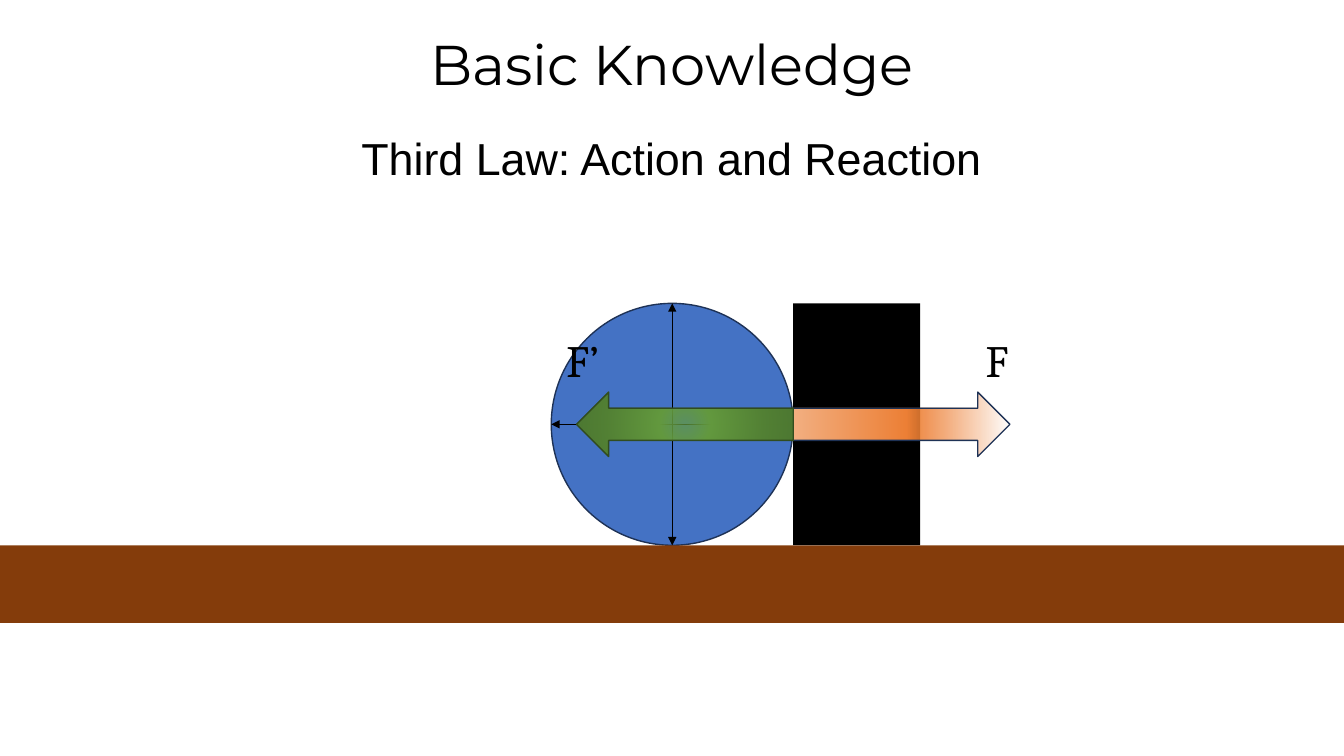
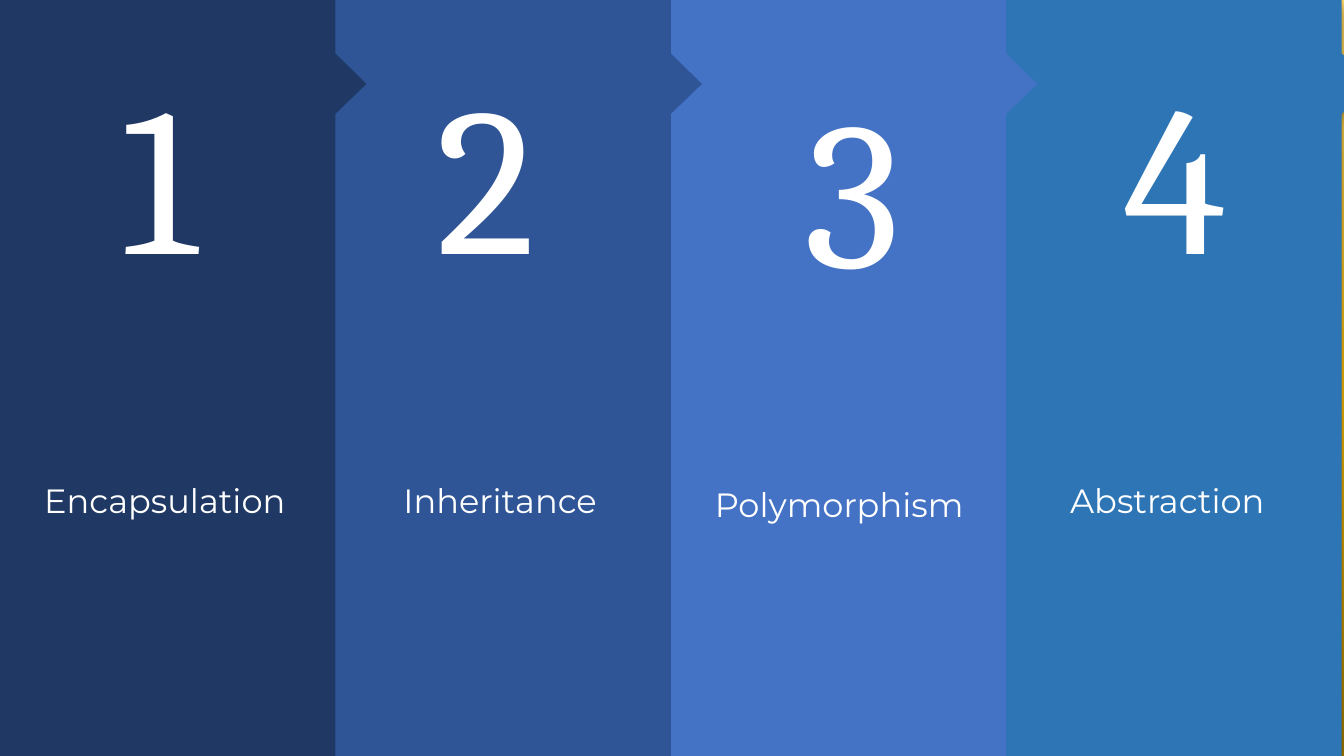
from lxml import etree
from pptx import Presentation
from pptx.dml.color import RGBColor
from pptx.enum.shapes import MSO_CONNECTOR, MSO_SHAPE
from pptx.enum.text import MSO_AUTO_SIZE, PP_ALIGN
from pptx.oxml.ns import qn
from pptx.util import Pt

LEFT, CENTER = PP_ALIGN.LEFT, PP_ALIGN.CENTER
GROW = MSO_AUTO_SIZE.SHAPE_TO_FIT_TEXT
STRAIGHT = MSO_CONNECTOR.STRAIGHT
OVAL, RECTANGLE = MSO_SHAPE.OVAL, MSO_SHAPE.RECTANGLE
LEFT_ARROW, RIGHT_ARROW = MSO_SHAPE.LEFT_ARROW, MSO_SHAPE.RIGHT_ARROW

BLACK = RGBColor(0x00, 0x00, 0x00)
WHITE = RGBColor(0xFF, 0xFF, 0xFF)
BLUE = RGBColor(0x44, 0x72, 0xC4)
NAVY = RGBColor(0x20, 0x38, 0x64)
DEEP_BLUE = RGBColor(0x2F, 0x55, 0x97)
SKY_BLUE = RGBColor(0x2E, 0x75, 0xB6)
BLUE_EDGE = RGBColor(0x1E, 0x32, 0x56)
GREEN_EDGE = RGBColor(0x31, 0x4C, 0x1F)
BROWN = RGBColor(0x84, 0x3C, 0x0B)

HEADING, BODY, SERIF = "Montserrat", "Arial", "Cambria"


def add_text(slide, text, box, size, font, color, align=CENTER):
    frame = slide.shapes.add_textbox(*map(Pt, box)).text_frame
    frame.word_wrap = True
    frame.auto_size = GROW
    paragraph = frame.paragraphs[0]
    paragraph.alignment = align
    run = paragraph.add_run()
    run.text = text
    run.font.size, run.font.name = Pt(size), font
    run.font.color.rgb = color


def set_gradient(fill, element, stops, angle=None):
    """Fill with (position %, colour, opacity %) stops; radial without an angle."""
    fill.solid()
    solid = next(element.iter(qn("a:solidFill")))
    gradient = etree.Element(qn("a:gradFill"), rotWithShape="1")
    stop_list = etree.SubElement(gradient, qn("a:gsLst"))
    for position, color, opacity in stops:
        stop = etree.SubElement(stop_list, qn("a:gs"), pos=str(position * 1000))
        tone = etree.SubElement(stop, qn("a:srgbClr"), val=color)
        if opacity < 100:
            etree.SubElement(tone, qn("a:alpha"), val=str(opacity * 1000))
    if angle is None:
        radial = etree.SubElement(gradient, qn("a:path"), path="circle")
        etree.SubElement(radial, qn("a:fillToRect"),
                         {side: "50000" for side in "ltrb"})
    else:
        etree.SubElement(gradient, qn("a:lin"), ang=str(angle * 60000), scaled="0")
    solid.getparent().replace(solid, gradient)


prs = Presentation()
prs.slide_width, prs.slide_height = Pt(960), Pt(540)
blank = prs.slide_layouts[6]

# Slide 1: action and reaction
law = prs.slides.add_slide(blank)
law.background.fill.solid()
law.background.fill.fore_color.rgb = WHITE
add_text(law, "Basic Knowledge", (271, 17.3, 417.6, 55.4), 40, HEADING, BLACK)

ball_left, ball_top, ball_size = 393.8, 216.7, 172.8
contact, ground_top = ball_left + ball_size, ball_top + ball_size
middle_x, middle_y = ball_left + ball_size / 2, ball_top + ball_size / 2

ball = law.shapes.add_shape(OVAL, Pt(ball_left), Pt(ball_top),
                            Pt(ball_size), Pt(ball_size))
ball.shadow.inherit = False
ball.fill.solid()
ball.fill.fore_color.rgb = BLUE
ball.line.color.rgb, ball.line.width = BLUE_EDGE, Pt(1)

for ends in ((middle_x, ground_top, middle_x, ball_top),
             (ball_left, middle_y, contact, middle_y)):
    diameter = law.shapes.add_connector(STRAIGHT, *map(Pt, ends))
    diameter.line.color.rgb, diameter.line.width = BLACK, Pt(0.5)
    outline = diameter.line._get_or_add_ln()
    for end in ("a:headEnd", "a:tailEnd"):
        etree.SubElement(outline, qn(end), type="triangle")
    etree.SubElement(diameter.element.spPr, qn("a:effectLst"))

for box, color in (((0, ground_top, 960, 55.4), BROWN),
                   ((contact, ball_top, 90.7, ball_size), BLACK)):
    solid_body = law.shapes.add_shape(RECTANGLE, *map(Pt, box))
    solid_body.shadow.inherit = False
    solid_body.fill.solid()
    solid_body.fill.fore_color.rgb = color
    solid_body.line.fill.background()

add_text(law, "Third Law: Action and Reaction", (242.6, 90, 474.5, 46),
         32, BODY, BLACK)

force_length, force_height = 154.8, 46
action_stops = ((0, "EC7321", 0), (48, "EE8137", 100), (100, "F4B183", 100))
reaction_stops = ((0, "649A3F", 72), (23, "649A3F", 100),
                  (69, "548235", 100), (97, "4E7932", 100))
for name, kind, left, stops, angle, edge, name_left, name_width in (
        ("F", RIGHT_ARROW, contact, action_stops, 180, BLUE_EDGE, 697, 67.7),
        ("F’", LEFT_ARROW, contact - force_length, reaction_stops, None,
         GREEN_EDGE, 397.4, 51.8)):
    force = law.shapes.add_shape(kind, Pt(left), Pt(middle_y - force_height / 2),
                                 Pt(force_length), Pt(force_height))
    force.shadow.inherit = False
    set_gradient(force.fill, force.element, stops, angle)
    force.line.color.rgb, force.line.width = edge, Pt(1)
    add_text(law, name, (name_left, 234, name_width, 46), 32, SERIF, BLACK, LEFT)

# Slide 2: four numbered panels, each pointing into the next
pillars = prs.slides.add_slide(blank)
set_gradient(pillars.background.fill, pillars.element,
             ((0, "AB8100", 100), (48, "FFC208", 100), (100, "FFD966", 100)), 270)

pitch, overlap, point = 239.6, 0.7, 22.2
number_width, label_width = 123, 196
# topic, colour, centre and top of the number, centre and top of the label
topics = (
    ("Encapsulation", NAVY, 114.2, 28, 117.7, 339),
    ("Inheritance", DEEP_BLUE, 347.5, 28, 357.2, 339),
    ("Polymorphism", BLUE, 609.5, 38, 599.4, 342),
    ("Abstraction", SKY_BLUE, 839.2, 28, 833.8, 339),
)
for number in range(len(topics), 0, -1):
    topic, color, number_x, number_y, label_x, label_y = topics[number - 1]
    left, right = (number - 1) * pitch - overlap, number * pitch
    outline = ((right, 0), (right, 38.2), (right + point, 60), (right, 81.4),
               (right, 540), (left, 540))
    builder = pillars.shapes.build_freeform(Pt(left), 0)
    builder.add_line_segments([(Pt(x), Pt(y)) for x, y in outline], close=True)
    panel = builder.convert_to_shape()
    panel.shadow.inherit = False
    panel.fill.solid()
    panel.fill.fore_color.rgb = color
    panel.line.fill.background()
    if number == len(topics):
        effects = panel.element.spPr.find(qn("a:effectLst"))
        shadow = etree.SubElement(effects, qn("a:outerShdw"), blurRad=str(Pt(10)),
                                  dist=str(Pt(4)), dir="5400000")
        tone = etree.SubElement(shadow, qn("a:srgbClr"), val=str(BLACK))
        etree.SubElement(tone, qn("a:alpha"), val="50000")
    add_text(pillars, str(number),
             (number_x - number_width / 2, number_y, number_width, 189.4),
             150, SERIF, WHITE)
    add_text(pillars, topic, (label_x - label_width / 2, label_y, label_width, 36),
             24, HEADING, WHITE)

prs.save("out.pptx")
